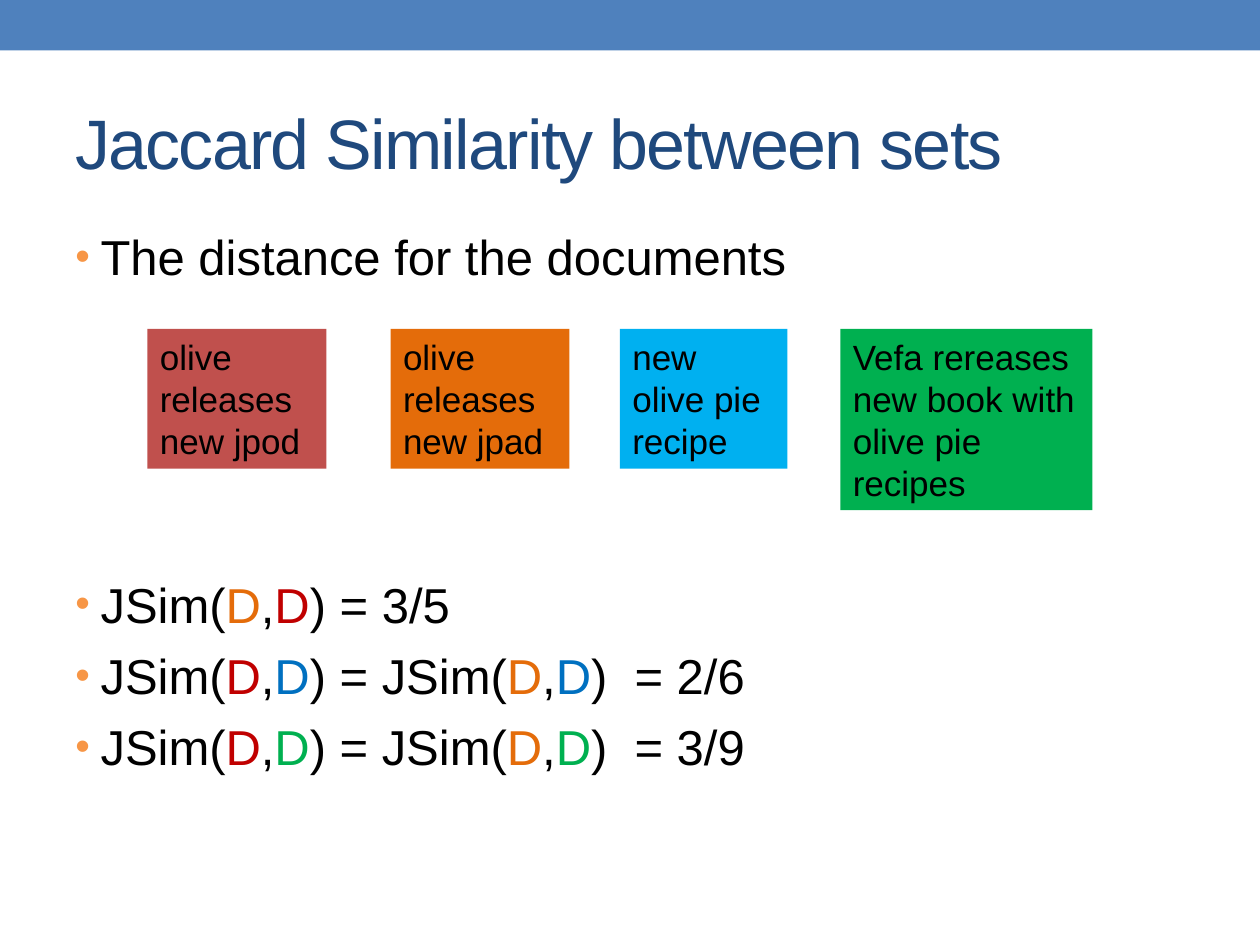
from lxml import etree
from pptx import Presentation
from pptx import util as u
from pptx.dml.color import RGBColor
from pptx.enum import shapes, text
from pptx.oxml.ns import qn

BLACK = RGBColor(0, 0, 0)
NAVY = RGBColor(0x1F, 0x49, 0x7D)
BAND_BLUE = RGBColor(0x4F, 0x81, 0xBD)
BRICK = RGBColor(0xC0, 0x50, 0x4D)
ORANGE = RGBColor(0xE4, 0x6C, 0x0A)
SKY = RGBColor(0x00, 0xB0, 0xF0)
GREEN = RGBColor(0x00, 0xB0, 0x50)
RED = RGBColor(0xC0, 0x00, 0x00)
BLUE = RGBColor(0x00, 0x70, 0xC0)
BULLET_COLOR = "F79646"


def add_bullet(paragraph):
    props = paragraph._p.get_or_add_pPr()
    props.set("marL", str(u.Inches(0.2)))
    props.set("indent", str(u.Inches(-0.2)))
    color = etree.SubElement(props, qn("a:buClr"))
    etree.SubElement(color, qn("a:srgbClr"), val=BULLET_COLOR)
    etree.SubElement(props, qn("a:buSzPct"), val="85000")
    etree.SubElement(props, qn("a:buFont"), typeface="Arial")
    etree.SubElement(props, qn("a:buChar"), char="•")


def write(paragraph, words, size=20, color=BLACK, spacing=None):
    run = paragraph.add_run()
    run.text = words
    run.font.name = "Arial"
    run.font.size = u.Pt(size)
    run.font.color.rgb = color
    if spacing is not None:
        run._r.get_or_add_rPr().set("spc", str(spacing))


def add_rectangle(slide, box, fill):
    rectangle = slide.shapes.add_shape(
        shapes.MSO_SHAPE.RECTANGLE, *map(u.Inches, box))
    rectangle.shadow.inherit = False
    rectangle.fill.solid()
    rectangle.fill.fore_color.rgb = fill
    rectangle.line.fill.background()
    return rectangle


def add_frame(slide, box):
    frame = slide.shapes.add_textbox(*map(u.Inches, box)).text_frame
    frame.word_wrap = True
    return frame


def add_title(slide, box, words):
    frame = add_frame(slide, box)
    frame.vertical_anchor = text.MSO_ANCHOR.MIDDLE
    write(frame.paragraphs[0], words, size=40, color=NAVY, spacing=-100)


def add_points(slide, box, points):
    frame = add_frame(slide, box)
    for number, (space_before, parts) in enumerate(points):
        point = frame.add_paragraph() if number else frame.paragraphs[0]
        add_bullet(point)
        if number:
            point.space_before = u.Pt(space_before)
        for words, color in parts:
            write(point, words, size=28, color=color)


def add_document(slide, box, words, fill):
    frame = add_rectangle(slide, box, fill).text_frame
    frame.word_wrap = True
    frame.vertical_anchor = text.MSO_ANCHOR.TOP
    frame.paragraphs[0].alignment = text.PP_ALIGN.LEFT
    write(frame.paragraphs[0], words)


def add_documents(slide, top, documents):
    for left, width, height, words, fill in documents:
        add_document(slide, (left, top, width, height), words, fill)


def similarity(first, second):
    return [("JSim(", BLACK), ("D", first), (",", BLACK), ("D", second)]


def equal_pair(other, value):
    return (similarity(RED, other) + [(") = ", BLACK)]
            + similarity(ORANGE, other) + [(f")  = {value}", BLACK)])


def main():
    deck = Presentation()
    deck.slide_width, deck.slide_height = u.Inches(10), u.Inches(7.5)
    slide = deck.slides.add_slide(deck.slide_layouts[6])

    add_rectangle(slide, (0, 0, 10, 0.4), BAND_BLUE)
    add_title(slide, (0.5, 0.58, 9, 1.08), "Jaccard Similarity between sets")
    add_points(slide, (0.5, 1.75, 9, 5.33), [
        (0, [("The distance for the documents", BLACK)]),
        (165, similarity(ORANGE, RED) + [(") = 3/5", BLACK)]),
        (7, equal_pair(BLUE, "2/6")),
        (7, equal_pair(GREEN, "3/9")),
    ])
    add_documents(slide, 2.61, [
        (1.17, 1.42, 1.11, "olive releases new jpod", BRICK),
        (3.1, 1.42, 1.11, "olive releases new jpad", ORANGE),
        (4.92, 1.33, 1.11, "new olive pie recipe", SKY),
        (6.67, 2, 1.44, "Vefa rereases new book with olive pie recipes", GREEN),
    ])
    deck.save("out.pptx")


if __name__ == "__main__":
    main()
